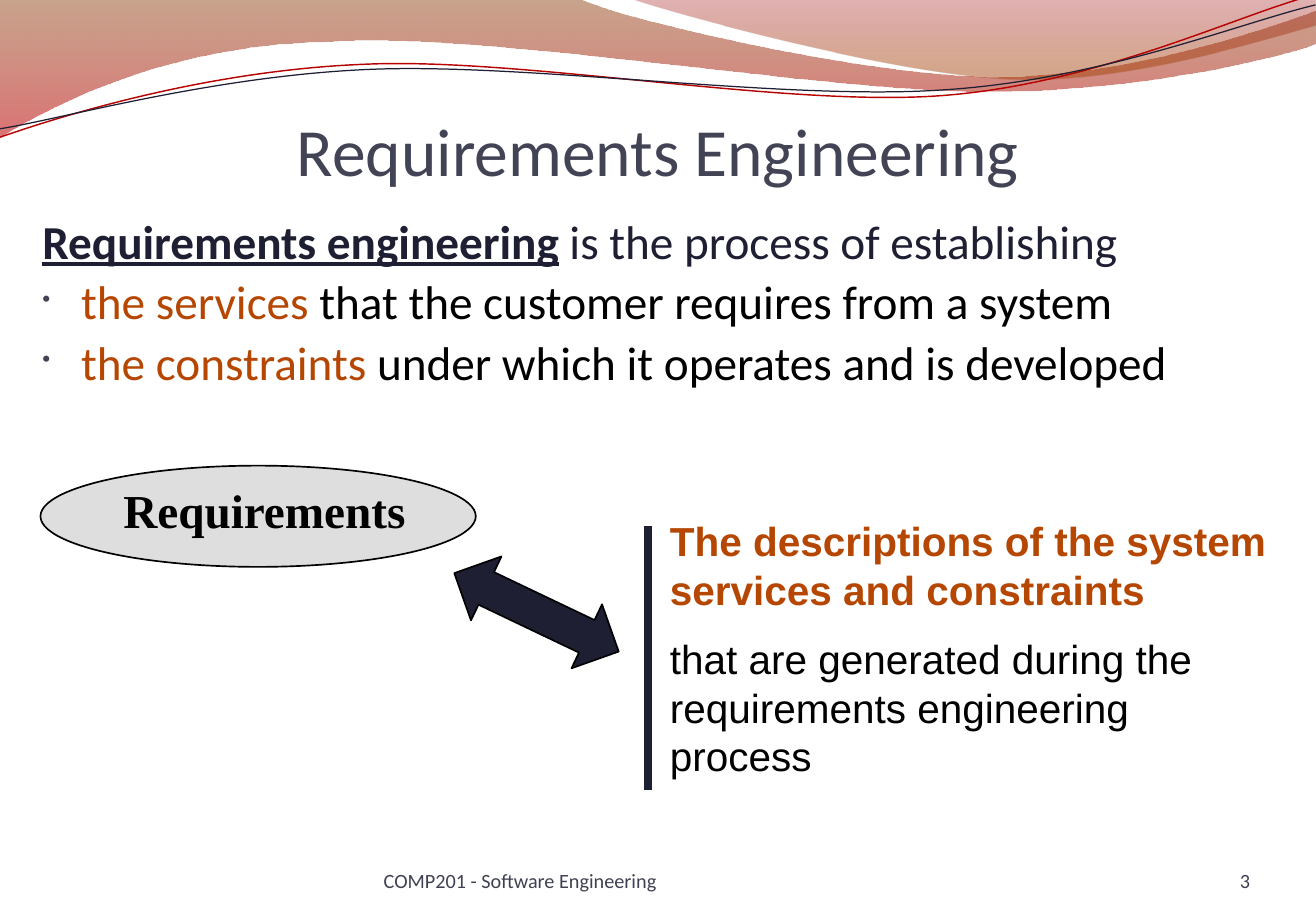
import pptx
import pptx.dml.color
import pptx.enum.shapes
import pptx.enum.text
import pptx.oxml.ns
import pptx.util
from lxml import etree

qn = pptx.oxml.ns.qn
ANCHOR = pptx.enum.text.MSO_ANCHOR
ALIGN = pptx.enum.text.PP_ALIGN
SHAPE = pptx.enum.shapes.MSO_SHAPE

# The slide is a grid of square cells, twelve to the inch
COLUMNS, ROWS, PER_INCH = 130, 90, 12
CELL = pptx.util.Inches(1) / PER_INCH

COLORS = {
    "title": "424456", "navy": "1F1F33", "accent": "B54703", "black": "000000",
    "oval": "DEDEDE", "footer": "3F4152", "red_line": "B60202",
    "brown": "883400", "red": "BD0000", "dark_red": "9A0000", "rust": "A23E00",
}


def rgb(name):
    return pptx.dml.color.RGBColor.from_string(COLORS[name])


def cells(*counts):
    return [pptx.util.Emu(round(count * CELL)) for count in counts]


def inside(box, left, top, width, height):
    return box[0] + left, box[1] + top, width, height


def add_text(slide, box, paragraphs, size, font="Calibri", align=ALIGN.LEFT,
             anchor=ANCHOR.TOP, margins=(0.1, 0.05, 0.1, 0.05), before=0, spacing=None):
    """Each paragraph is a list of (text, colour, bold) runs."""
    frame = slide.shapes.add_textbox(*cells(*box)).text_frame
    frame.word_wrap = True
    frame.vertical_anchor = anchor
    (frame.margin_left, frame.margin_top,
     frame.margin_right, frame.margin_bottom) = map(pptx.util.Inches, margins)
    for index, runs in enumerate(paragraphs):
        paragraph = frame.add_paragraph() if index else frame.paragraphs[0]
        paragraph.alignment = align
        paragraph.space_before = pptx.util.Pt(before)
        if spacing:
            paragraph.line_spacing = spacing
        for text, color, bold in runs:
            run = paragraph.add_run()
            run.text = text
            run.font.name = font
            run.font.size = pptx.util.Pt(size)
            run.font.bold = bold
            run.font.color.rgb = rgb(color)
    return frame


def add_bullet(paragraph, indent):
    properties = paragraph._p.get_or_add_pPr()
    properties.set("marL", str(indent))
    properties.set("indent", str(-indent))
    color = etree.SubElement(properties, qn("a:buClr"))
    etree.SubElement(color, qn("a:srgbClr"), val=COLORS["title"])
    etree.SubElement(properties, qn("a:buSzPct"), val="50000")
    etree.SubElement(properties, qn("a:buChar"), char="•")


def style(shape, fill=None, line=None, width=1):
    shape.shadow.inherit = False
    if fill:
        shape.fill.solid()
        shape.fill.fore_color.rgb = rgb(fill)
    else:
        shape.fill.background()
    if line:
        shape.line.color.rgb = rgb(line)
        shape.line.width = pptx.util.Pt(width)
    else:
        shape.line.fill.background()


def fill_gradient(shape, stops):
    shape.fill.gradient()
    shape.fill.gradient_angle = 270
    for stop, (position, color, _) in zip(shape.fill.gradient_stops, stops):
        stop.position = position
        stop.color.rgb = rgb(color)
    colors = shape._element.spPr.find(qn("a:gradFill")).iter(qn("a:srgbClr"))
    for color, (_, _, opacity) in zip(colors, stops):
        etree.SubElement(color, qn("a:alpha"), val=str(opacity * 1000))


def add_wave(slide, box, start, segments, closed=False):
    """Segments are line ends (x, y) or cubic curves (x1, y1, x2, y2, x, y), in inches."""
    points = [start] + [segment[i:i + 2] for segment in segments
                        for i in range(0, len(segment), 2)]
    placed = [cells(box[0] + x * PER_INCH, box[1] + y * PER_INCH) for x, y in points]
    builder = slide.shapes.build_freeform(*placed[0], scale=1.0)
    builder.add_line_segments(placed[1:], close=closed)
    wave = builder.convert_to_shape()

    # Join the three points of each curve into one Bézier segment
    steps = iter(list(wave._element.iter(qn("a:lnTo"))))
    for segment in segments:
        first, *others = [next(steps) for _ in range(len(segment) // 2)]
        if others:
            curve = etree.Element(qn("a:cubicBezTo"))
            first.addprevious(curve)
            for step in (first, *others):
                curve.append(step[0])
                step.getparent().remove(step)
    return wave


def add_header_waves(slide, box):
    # Translucent bands
    bands = [
        ((0, 0), [(4.77, -0.01), (5.15, 0.17, 7.19, 0.63, 8.22, 0.63),
                  (9.24, 0.63, 10.38, 0.26, 10.83, 0.09), (10.84, 0.36),
                  (10.65, 0.44, 9.42, 0.76, 8.08, 0.75),
                  (6.74, 0.75, 4.14, 0.28, 2.79, 0.34),
                  (1.4, 0.36, 0.5, 0.83, -0.01, 1.13), (0, 0)],
         [(0, "brown", 45), (1, "red", 55)]),
        ((5.19, -0.01), [(5.52, 0.11, 7.39, 0.62, 8.33, 0.65),
                         (9.27, 0.69, 10.42, 0.32, 10.83, 0.21), (10.83, 0),
                         (5.19, -0.01)],
         [(0, "dark_red", 30), (0.8, "rust", 45)]),
    ]
    for start, segments, stops in bands:
        band = add_wave(slide, box, start, segments, closed=True)
        style(band)
        fill_gradient(band, stops)

    # Thin lines
    strands = [
        ((0, 1.13), [(0.52, 0.95, 1.71, 0.58, 3, 0.53), (4.28, 0.47, 6.42, 0.88, 7.72, 0.79),
                     (9.02, 0.7, 10.17, 0.13, 10.81, -0.04)], "red_line", 0.85),
        ((0, 1.06), [(0.51, 0.98, 1.77, 0.62, 3.07, 0.57), (4.36, 0.52, 6.47, 0.83, 7.76, 0.74),
                     (9.06, 0.66, 10.2, 0.19, 10.83, 0.04)], "navy", 0.75),
    ]
    for start, segments, color, width in strands:
        style(add_wave(slide, box, start, segments), line=color, width=width)


def add_definition(slide, box):
    definition = add_text(slide, box, [
        [("Requirements engineering", "navy", True),
         (" is the process of establishing", "navy", False)],
        [("the services ", "accent", False),
         ("that the customer requires from a system", "black", False)],
        [("the constraints ", "accent", False),
         ("under which it operates and is developed", "black", False)],
    ], 28, before=5.6, spacing=0.9)
    definition.paragraphs[0].runs[0].font.underline = True
    for item in definition.paragraphs[1:]:
        add_bullet(item, pptx.util.Inches(0.32))


def add_requirements_diagram(slide, box):
    # Oval and its label
    oval = slide.shapes.add_shape(SHAPE.OVAL, *cells(*inside(box, 0, 0, 43, 10)))
    style(oval, "oval", "black")
    add_text(slide, inside(box, 7, 1, 33, 7), [[("Requirements", "black", True)]],
             28, font="Times New Roman")

    # Slanted double arrow
    arrow = slide.shapes.add_shape(SHAPE.UP_DOWN_ARROW, *cells(*inside(box, 45.5, 5.5, 7, 18)))
    style(arrow, "navy", "black")
    arrow.adjustments[0], arrow.adjustments[1] = 0.5, 0.51
    arrow.rotation = 295.5

    # Description beside its rule
    add_text(slide, inside(box, 61, 4.4, 62, 27.6), [
        [("The descriptions of the system services and constraints", "accent", True)],
        [("that are generated during the requirements engineering process", "black", False)],
    ], 24, font="Arial", before=12.4)
    left, top, _, height = inside(box, 60, 6, 0, 26)
    rule = slide.shapes.add_connector(pptx.enum.shapes.MSO_CONNECTOR.STRAIGHT,
                                      *cells(left, top, left, top + height))
    rule.line.color.rgb = rgb("navy")
    rule.line.width = pptx.util.Pt(4.5)
    etree.SubElement(rule._element.spPr, qn("a:effectLst"))


def add_footer(slide, box):
    for left, width, text, align in (
            (74.8, 10.8, "3", ALIGN.RIGHT),
            (0, 47.6, "COMP201 - Software Engineering", ALIGN.LEFT)):
        add_text(slide, inside(box, left, 0, width, box[3]), [[(text, "footer", False)]],
                 12, align=align, anchor=ANCHOR.BOTTOM, margins=(0, 0, 0, 0))


def main():
    deck = pptx.Presentation()
    deck.slide_width, deck.slide_height = cells(COLUMNS, ROWS)
    slide = deck.slides.add_slide(deck.slide_layouts[6])
    add_header_waves(slide, (0, 0, COLUMNS, 14))
    add_text(slide, (6.5, 9.25, 117, 9.5), [[("Requirements Engineering", "title", False)]],
             40, align=ALIGN.CENTER, anchor=ANCHOR.BOTTOM, margins=(0, 0.05, 0, 0))
    add_definition(slide, (3, 21, 123, 18.6))
    add_requirements_diagram(slide, (4, 46, 123, 32))
    add_footer(slide, (37.9, 83.4, 85.6, 4.8))
    deck.save("out.pptx")


if __name__ == "__main__":
    main()
